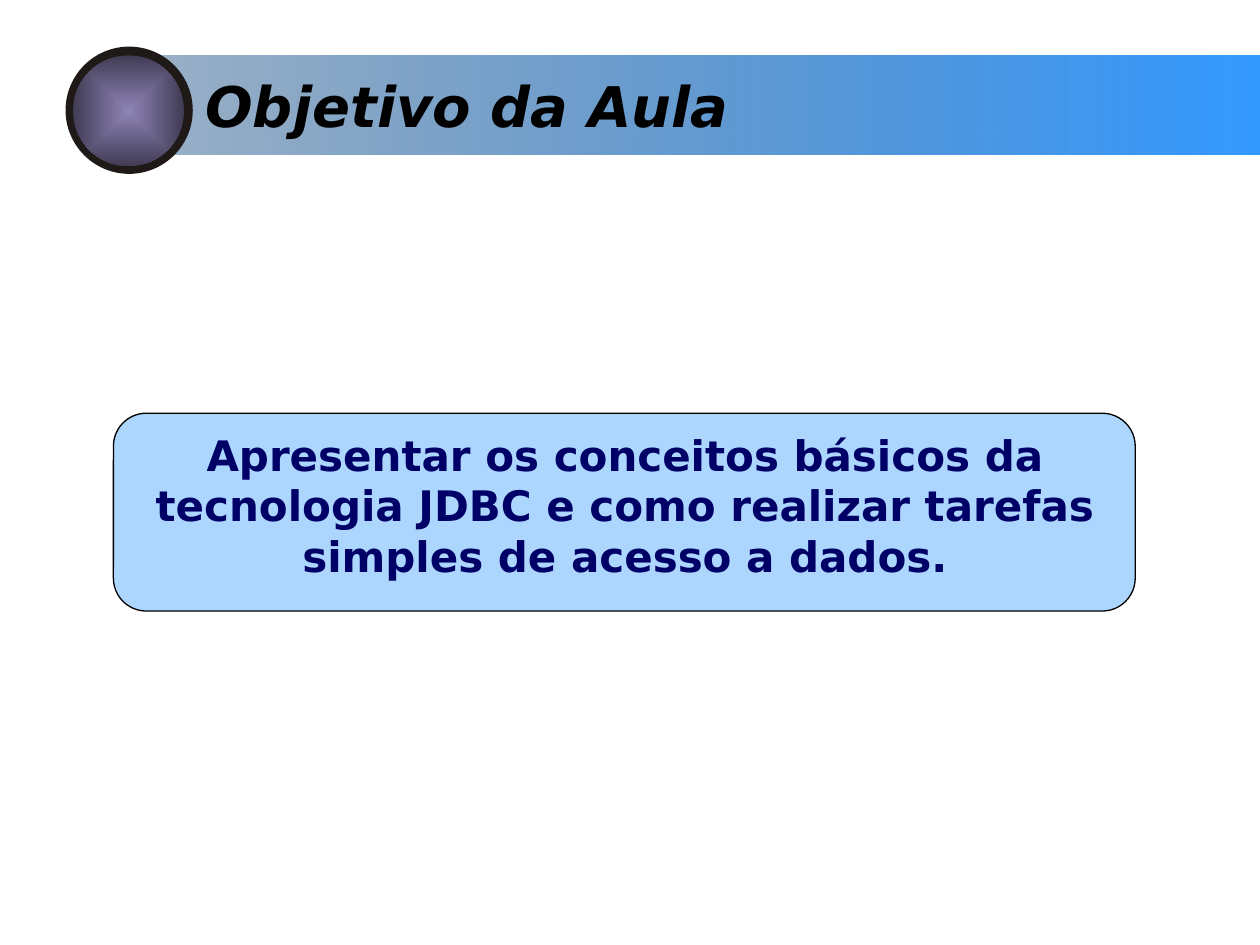
from lxml.etree import SubElement
from pptx import Presentation
from pptx.dml.color import RGBColor as RGB
from pptx.enum.shapes import MSO_SHAPE as Kind
from pptx.enum.text import MSO_ANCHOR as Anchor, MSO_AUTO_SIZE as Fit, PP_ALIGN as Align
from pptx.oxml.ns import qn
from pptx.util import Inches, Pt

HUES = {
    "bar": "3399FF", "fade": "194D81", "ring": "1F1A17", "glow": "8E84B7",
    "dusk": "413C54", "card": "3399FF", "edge": "000000", "head": "000000",
    "goal": "000066",
}
FONT = {"name": "DejaVu Sans", "bold": True}
FRAME = {"word_wrap": True, "auto_size": Fit.NONE, "vertical_anchor": Anchor.TOP}
HEAD = {"size": Pt(32), "italic": True}
GOAL = {"size": Pt(24), "italic": False}


def hue(name):
    """Return the named colour."""
    return RGB.from_string(HUES[name])


def apply(item, look):
    """Set each format value on the item."""
    for key, value in look.items():
        setattr(item, key, value)


def place(shape, box):
    """Move and size a shape in inches."""
    names = ("left", "top", "width", "height")
    apply(shape, dict(zip(names, map(Inches, box))))


def add_form(slide, kind, box):
    """Add a preset shape with no line or shadow."""
    form = slide.shapes.add_shape(kind, *map(Inches, box))
    form.shadow.inherit = False
    form.line.fill.background()
    return form


def dim(node, share):
    """Make the colour inside a fill node partly clear."""
    tone = next(node.iter(qn("a:srgbClr")))
    SubElement(tone, qn("a:alpha"), val=str(share * 1000))


def blend(form, first, last):
    """Fill a form with two colours and return the gradient node."""
    form.fill.gradient()
    for stop, name in zip(form.fill.gradient_stops, (first, last)):
        stop.color.rgb = hue(name)
    return form._element.spPr.find(qn("a:gradFill"))


def add_bar(slide):
    """Add the fading bar behind the title."""
    bar = add_form(slide, Kind.RECTANGLE, (1.22, 0.44, 8.78, 0.79))
    grad = blend(bar, "bar", "fade")
    bar.fill.gradient_angle = 180
    dim(grad.findall(".//" + qn("a:gs"))[-1], 44)


def add_badge(slide):
    """Add the dark ring and its glowing centre."""
    ring = add_form(slide, Kind.OVAL, (0.52, 0.37, 1.01, 1.01))
    ring.fill.solid()
    ring.fill.fore_color.rgb = hue("ring")
    core = add_form(slide, Kind.OVAL, (0.58, 0.44, 0.88, 0.88))
    grad = blend(core, "glow", "dusk")
    grad.remove(grad.find(qn("a:lin")))
    route = SubElement(grad, qn("a:path"), path="rect")
    SubElement(route, qn("a:fillToRect"), dict.fromkeys("ltrb", "50000"))


def add_card(slide):
    """Add the pale rounded card."""
    card = add_form(slide, Kind.ROUNDED_RECTANGLE, (0.9, 3.28, 8.11, 1.57))
    card.fill.solid()
    card.fill.fore_color.rgb = hue("card")
    dim(card._element.spPr, 40)
    card.line.color.rgb = hue("edge")
    card.line.width = Pt(0.75)


def write(shape, text, look, tone, align):
    """Put one formatted paragraph in a shape."""
    frame = shape.text_frame
    apply(frame, FRAME)
    para = frame.paragraphs[0]
    para.alignment = align
    run = para.add_run()
    run.text = text
    apply(run.font, FONT | look)
    run.font.color.rgb = hue(tone)


def add_title(slide, text):
    """Fill the title placeholder and lift it over the bar."""
    title = slide.shapes.title
    place(title, (1.53, 0.52, 8.47, 0.64))
    write(title, text, HEAD, "head", Align.LEFT)
    slide.shapes._spTree.append(title._element)


def add_goal(slide, text):
    """Add the goal text over the card."""
    goal = slide.shapes.add_textbox(*map(Inches, (0.99, 3.36, 7.94, 1.3)))
    write(goal, text, GOAL, "goal", Align.CENTER)


def main():
    """Build and save the slide."""
    deck = Presentation()
    apply(deck, {"slide_width": Inches(10), "slide_height": Inches(7.5)})
    slide = deck.slides.add_slide(deck.slide_layouts[5])
    add_bar(slide)
    add_title(slide, "Objetivo da Aula")
    add_card(slide)
    add_goal(slide, "Apresentar os conceitos básicos da tecnologia JDBC e como "
                    "realizar tarefas simples de acesso a dados.")
    add_badge(slide)
    deck.save("out.pptx")


if __name__ == "__main__":
    main()
